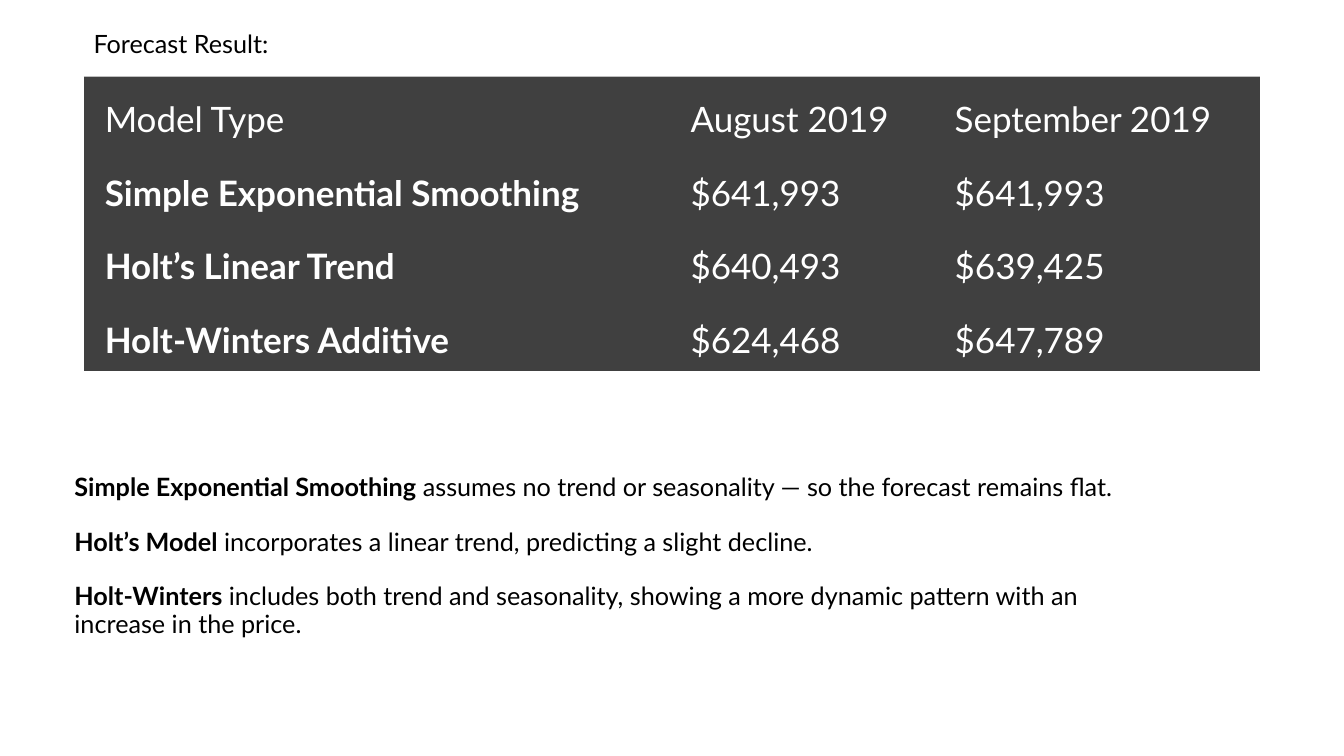
"""Build the forecast result slide with its model table and notes."""
from lxml import etree
from pptx import Presentation
from pptx import util as u
from pptx.dml.color import RGBColor
from pptx.enum import shapes, text
from pptx.oxml import ns

HEADING = "Forecast Result:"
FORECASTS = [
    ("Model Type", "August 2019", "September 2019"),
    ("Simple Exponential Smoothing", "$641,993", "$641,993"),
    ("Holt’s Linear Trend", "$640,493", "$639,425"),
    ("Holt-Winters Additive", "$624,468", "$647,789"),
]
NOTES = [
    ("Simple Exponential Smoothing", " assumes no trend or seasonality — so the forecast remains flat."),
    ("Holt’s Model", " incorporates a linear trend, predicting a slight decline."),
    ("Holt-Winters", " includes both trend and seasonality, showing a more dynamic pattern "
                     "with an increase in the price."),
]

BLACK = RGBColor(0, 0, 0)
WHITE = RGBColor(255, 255, 255)
CHARCOAL = RGBColor(0x40, 0x40, 0x40)
SILVER = RGBColor(0xBF, 0xBF, 0xBF)
FONT = "Lato"
NO_STYLE = "{2D5ABB26-0587-4C30-8999-92F81FD0307C}"

WIDTH, HEIGHT = 13.33, 7.5
LEFT, TABLE_TOP, ROW = 0.83, 0.76, 0.73
COLUMNS = (5.81, 2.62, 3.24)
PAD = 0.21
NOTE_SIZE, NOTE_SPACING = 18, 0.9
NOTE_LINE = NOTE_SIZE * 1.2 * NOTE_SPACING


def add_run(p, words, size=18, color=BLACK, bold=False):
    r = p.add_run()
    r.text = words
    r.font.name, r.font.size, r.font.bold = FONT, u.Pt(size), bold
    r.font.color.rgb = color


def add_top_border(cell, color, width):
    line = etree.Element(ns.qn("a:lnT"), w=str(u.Pt(width)))
    fill = etree.SubElement(line, ns.qn("a:solidFill"))
    etree.SubElement(fill, ns.qn("a:srgbClr"), val=str(color))
    cell._tc.get_or_add_tcPr().insert(0, line)


def add_band(s):
    top = HEIGHT * 0.75
    sp = s.shapes.add_shape(shapes.MSO_SHAPE.RECTANGLE, 0, u.Inches(top),
                            u.Inches(WIDTH), u.Inches(HEIGHT - top))
    sp.shadow.inherit = False
    sp.fill.solid()
    sp.fill.fore_color.rgb = WHITE
    sp.line.fill.background()


def add_notes(s):
    tf = s.shapes.add_textbox(*map(u.Inches, (0.64, 4.16, 10.68, 3))).text_frame
    tf.word_wrap = True
    tf.vertical_anchor = text.MSO_ANCHOR.MIDDLE
    tf.margin_bottom = u.Inches(0.05) + u.Pt(NOTE_LINE)
    for i, (model, remark) in enumerate(NOTES):
        p = tf.add_paragraph() if i else tf.paragraphs[0]
        p.line_spacing = NOTE_SPACING
        if i:
            p.space_before = u.Pt(NOTE_LINE)
        add_run(p, model, size=NOTE_SIZE, bold=True)
        add_run(p, remark, size=NOTE_SIZE)


def add_forecasts(s):
    box = (LEFT, TABLE_TOP, sum(COLUMNS), ROW * len(FORECASTS))
    table = s.shapes.add_table(len(FORECASTS), len(COLUMNS), *map(u.Inches, box)).table
    table._tbl.tblPr.find(ns.qn("a:tableStyleId")).text = NO_STYLE
    table.horz_banding = False
    for column, width in zip(table.columns, COLUMNS):
        column.width = u.Inches(width)
    for i, row in enumerate(FORECASTS):
        for j, words in enumerate(row):
            cell = table.cell(i, j)
            cell.margin_left = cell.margin_top = cell.margin_right = u.Inches(PAD)
            cell.margin_bottom = u.Inches(0.1)
            cell.vertical_anchor = text.MSO_ANCHOR.MIDDLE
            cell.fill.solid()
            cell.fill.fore_color.rgb = CHARCOAL
            if i == 0:
                add_top_border(cell, SILVER, 1)
            add_run(cell.text_frame.paragraphs[0], words, size=25, color=WHITE,
                    bold=i > 0 and j == 0)


def add_heading(s):
    tf = s.shapes.add_textbox(*map(u.Inches, (LEFT, 0.23, 1.97, 0.4))).text_frame
    tf.word_wrap = False
    tf.auto_size = text.MSO_AUTO_SIZE.SHAPE_TO_FIT_TEXT
    add_run(tf.paragraphs[0], HEADING)


def main():
    prs = Presentation()
    prs.slide_width, prs.slide_height = u.Inches(WIDTH), u.Inches(HEIGHT)
    s = prs.slides.add_slide(prs.slide_layouts[6])
    for add_part in (add_band, add_notes, add_forecasts, add_heading):
        add_part(s)
    prs.save("out.pptx")


if __name__ == "__main__":
    main()
